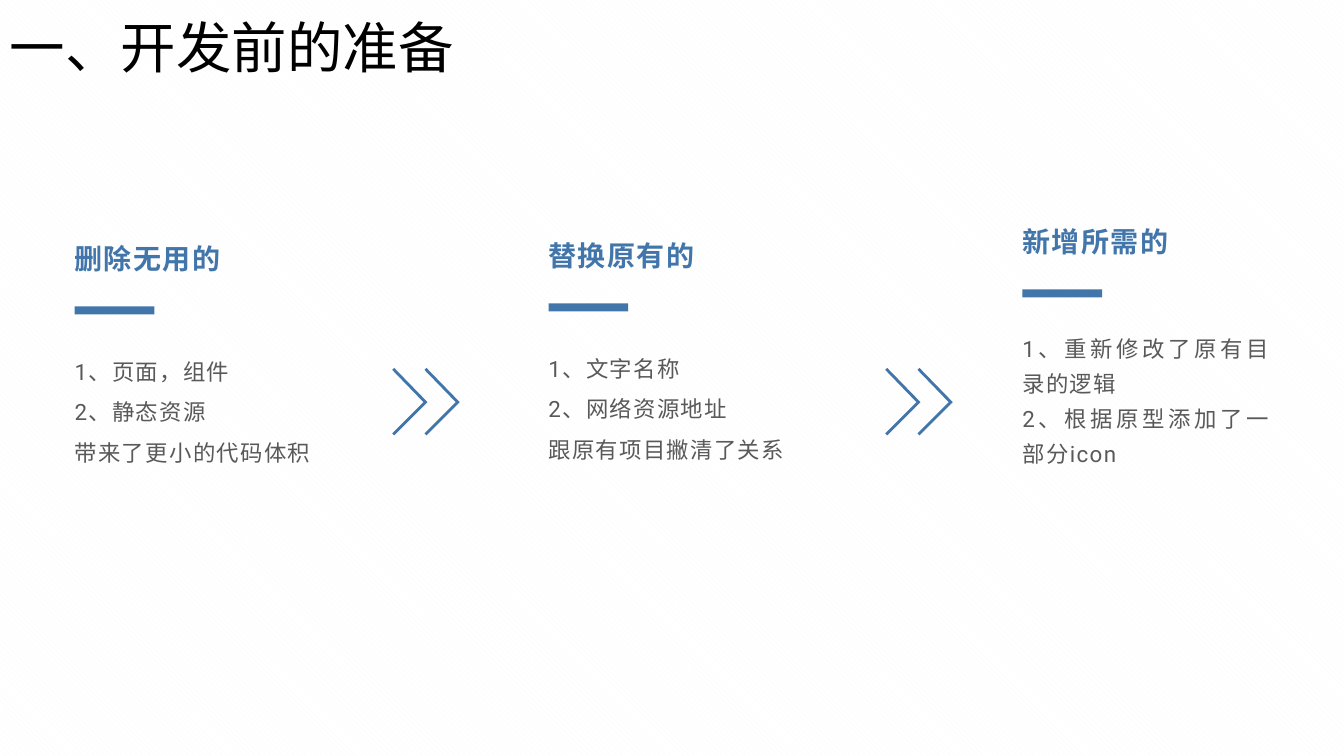
import pptx
import pptx.util
import pptx.dml.color
import pptx.enum.dml
import pptx.enum.shapes
import pptx.enum.text
import pptx.oxml.ns
import lxml.etree

Inches = pptx.util.Inches
RGBColor = pptx.dml.color.RGBColor
Align = pptx.enum.text.PP_ALIGN
Anchor = pptx.enum.text.MSO_ANCHOR

TITLE = "一、开发前的准备"
STEPS = [
    {"heading": "删除无用的", "top": 2.35, "spacing": 1.5,
     "lines": ["1、页面，组件", "2、静态资源", "带来了更小的代码体积"]},
    {"heading": "替换原有的", "top": 2.32, "spacing": 1.5,
     "lines": ["1、文字名称", "2、网络资源地址", "跟原有项目撇清了关系"]},
    {"heading": "新增所需的", "top": 2.18, "spacing": 1.3,
     "lines": ["1、重新修改了原有目录的逻辑", "2、根据原型添加了一部分icon"]},
]
ARROW_LEFTS = [3.89, 8.78]
ARROW_TOP = 3.65
CHEVRON_SHIFT = 0.32
CHEVRON = [(0.02, 0), (0.35, 0.34), (0.02, 0.67), (0, 0.65), (0.31, 0.34), (0, 0.02)]

FONT = "Roboto"
BLUE = RGBColor(0x42, 0x76, 0xAA)
GRAY = RGBColor(0x59, 0x59, 0x59)
BLACK = RGBColor(0, 0, 0)
WHITE = RGBColor(0xFF, 0xFF, 0xFF)
STRIPE = RGBColor(0xF2, 0xF2, 0xF2)

FIRST_LEFT = 0.74
COLUMN_STEP = 4.7
BAR_DROP = 0.69
BODY_DROP = 1.02
BODY_BOTTOM = 4.72


def add_text(page, lines, left, top, width, height, size, color, bold=False,
             spacing=None, align=None, anchor=Anchor.TOP, inset=0.0,
             wrap=True, tracking=None):
    box = page.shapes.add_textbox(Inches(left), Inches(top), Inches(width), Inches(height))
    frame = box.text_frame
    frame.word_wrap = wrap
    frame.vertical_anchor = anchor
    frame.margin_left = Inches(inset)
    for index, line in enumerate(lines):
        para = frame.paragraphs[0] if index == 0 else frame.add_paragraph()
        para.alignment = align
        para.line_spacing = spacing
        span = para.add_run()
        span.text = line
        span.font.size = pptx.util.Pt(size)
        span.font.bold = bold
        span.font.color.rgb = color
        span.font.name = FONT
        properties = span.font._element
        east = lxml.etree.SubElement(properties, pptx.oxml.ns.qn("a:ea"))
        east.set("typeface", FONT)
        if tracking:
            properties.set("spc", str(tracking * 100))


def paint(shape, color):
    shape.shadow.inherit = False
    shape.fill.solid()
    shape.fill.fore_color.rgb = color
    shape.line.fill.background()


def add_bar(page, left, top, width, height, color):
    bar = page.shapes.add_shape(pptx.enum.shapes.MSO_SHAPE.RECTANGLE, Inches(left),
                                Inches(top), Inches(width), Inches(height))
    paint(bar, color)
    return bar


def add_double_chevron(page, left, top):
    builder = None
    for shift in (0, CHEVRON_SHIFT):
        points = [(Inches(left + shift + x), Inches(top + y)) for x, y in CHEVRON]
        if builder is None:
            builder = page.shapes.build_freeform(*points[0])
        else:
            builder.move_to(*points[0])
        builder.add_line_segments(points[1:], close=True)
    paint(builder.convert_to_shape(), BLUE)


def main():
    deck = pptx.Presentation()
    deck.slide_width, deck.slide_height = Inches(13.33), Inches(7.5)
    page = deck.slides.add_slide(deck.slide_layouts[6])

    backdrop = page.background.fill
    backdrop.patterned()
    backdrop.pattern = pptx.enum.dml.MSO_PATTERN.WIDE_DOWNWARD_DIAGONAL
    backdrop.fore_color.rgb = STRIPE
    backdrop.back_color.rgb = WHITE

    veil = add_bar(page, 0, 0, 13.33, 7.5, WHITE)
    tint = veil._element.spPr.find(".//" + pptx.oxml.ns.qn("a:srgbClr"))
    lxml.etree.SubElement(tint, pptx.oxml.ns.qn("a:alpha")).set("val", "70000")

    add_text(page, [TITLE], 0, 0.22, 7.96, 0.57, size=39.6, color=BLACK,
             spacing=0.9, anchor=Anchor.MIDDLE, inset=0.1)

    for column, step in enumerate(STEPS):
        left = FIRST_LEFT + column * COLUMN_STEP
        top = step["top"]
        body_top = top + BODY_DROP
        add_bar(page, left, top + BAR_DROP, 0.79, 0.08, BLUE)
        add_text(page, [step["heading"]], left, top, 1.56, 0.44, size=20,
                 color=BLUE, bold=True, wrap=False, tracking=1)
        add_text(page, step["lines"], left, body_top, 2.56, BODY_BOTTOM - body_top,
                 size=16, color=GRAY, spacing=step["spacing"],
                 align=Align.JUSTIFY, tracking=1)

    for left in ARROW_LEFTS:
        add_double_chevron(page, left, ARROW_TOP)

    deck.save("out.pptx")


if __name__ == "__main__":
    main()
